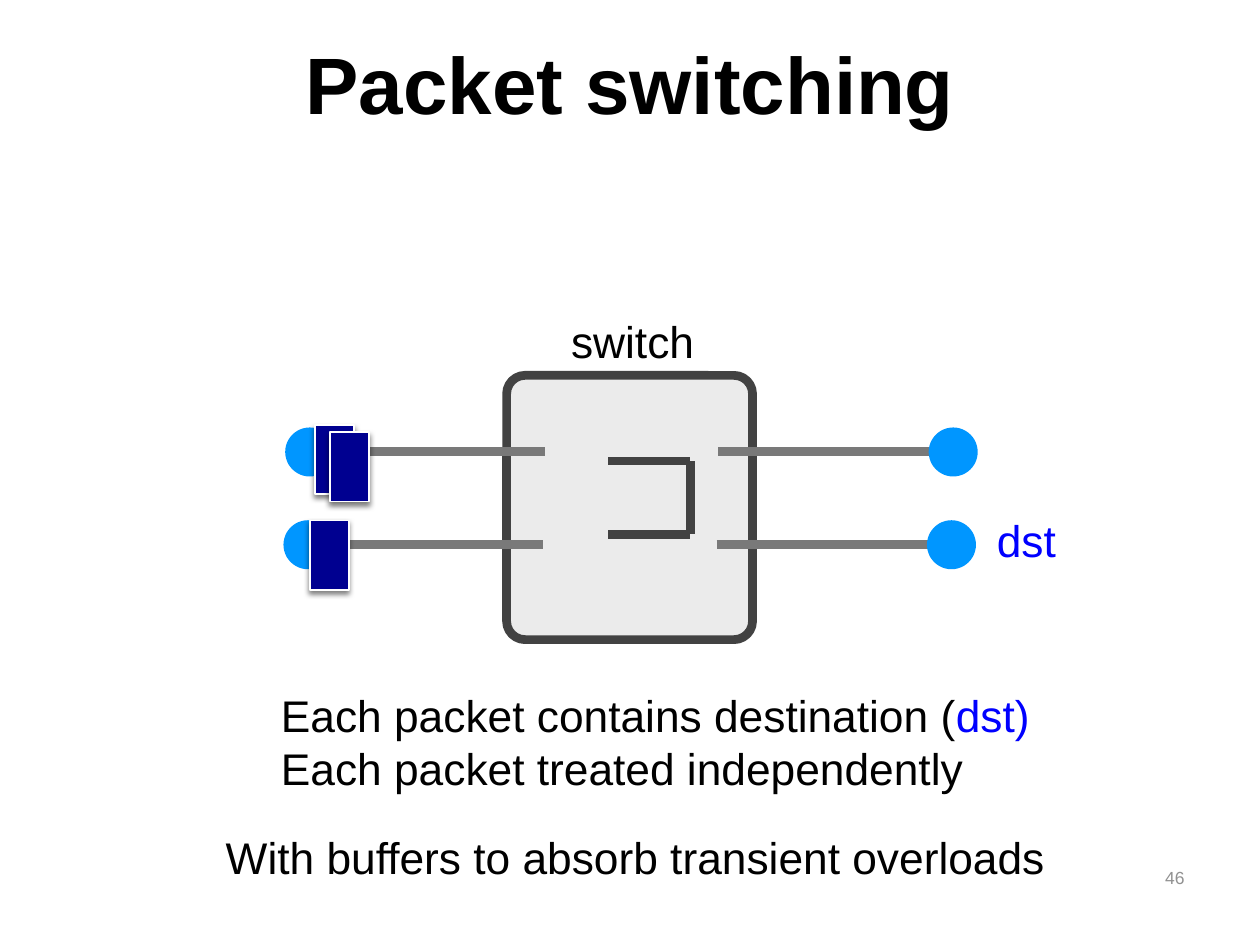
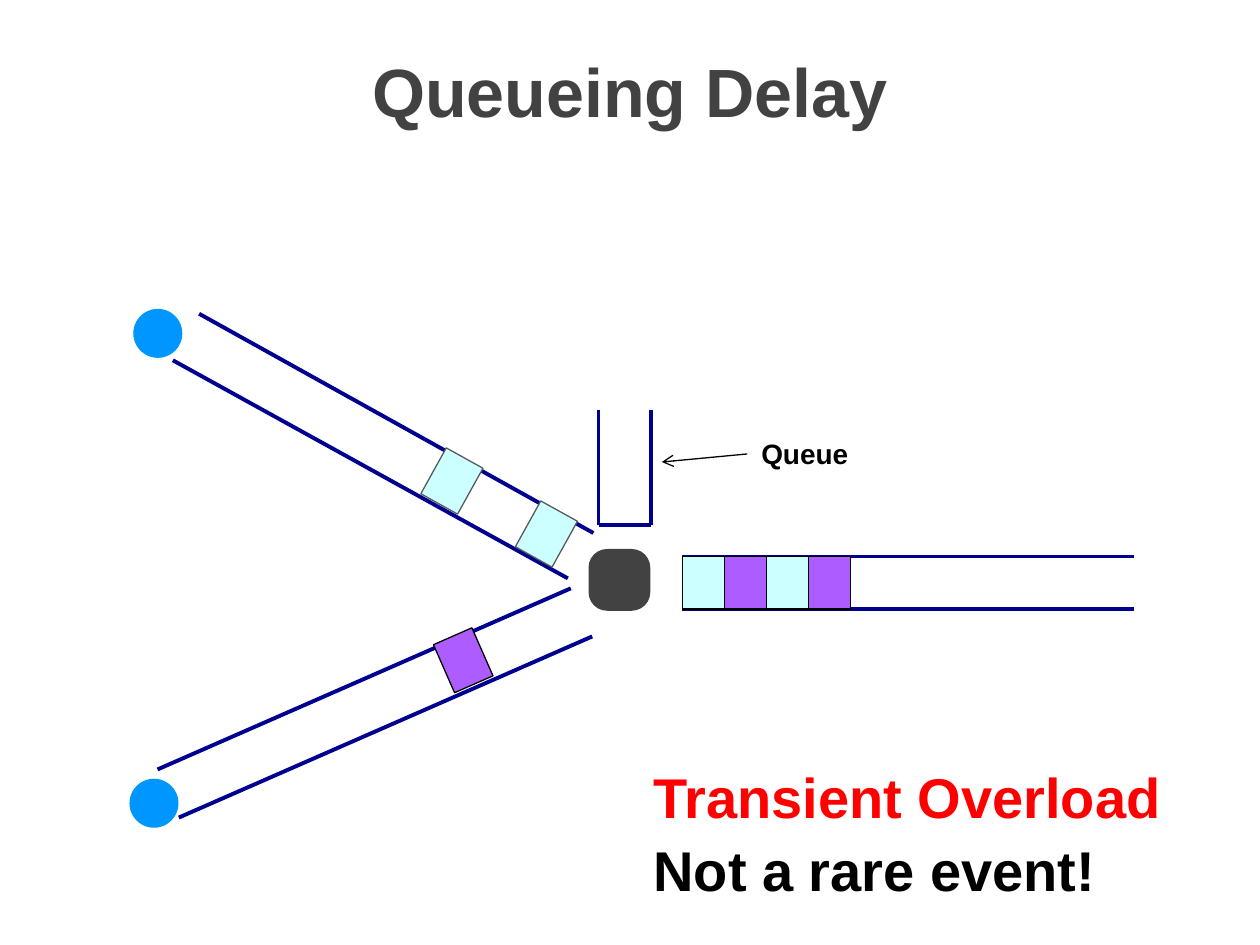
from lxml.etree import SubElement
from pptx import Presentation
from pptx.dml.color import RGBColor
from pptx.enum.shapes import MSO_CONNECTOR, MSO_SHAPE
from pptx.enum.text import MSO_ANCHOR, MSO_AUTO_SIZE, PP_ALIGN
from pptx.oxml.ns import qn
from pptx.util import Pt

COLORS = {
    "ink": "000000", "paper": "FFFFFF", "dark": "424242", "gray": "919191",
    "link": "797979", "switch": "EBEBEB", "host": "0096FF", "navy": "000090",
    "blue": "0000FF", "red": "FF0000", "cyan": "CCFFFF", "purple": "AD5CFF",
    "edge": "595959",
}
FONT = "Arial"
HOST_SIZE = 28

# Slide 1: positions in points
SWITCH_BOX = (289.5, 214.5, 140.5, 151)
LINK_ROWS = [(258, 180), (311, 179)]          # y, left end of the row
LINK_LENGTH, OUTPUT_OFFSET = 131.5, 230.5
INPUT_HOST_OFFSET, OUTPUT_HOST_OFFSET = -3, 364.7
BUFFER_LEFT, BUFFER_RIGHT, BUFFER_TOP, BUFFER_BOTTOM = 347.6, 394.5, 263.5, 305.3
PACKETS = [(180, 242.7), (188.5, 247), (177, 297.5)]
PACKET_SIZE = (22.3, 39.6)
SWITCHING_TEXTS = [                           # box, paragraphs of (text, color) runs
    ((126, 471.6, 490, 36), [[("With buffers to absorb transient overloads", "ink")]]),
    ((323.3, 176.4, 90, 36.7), [[("switch", "ink")]]),
    ((566.6, 290.2, 54, 36.7), [[("dst", "blue")]]),
    ((157.5, 390.2, 450, 67), [
        [("Each packet contains destination (", "ink"), ("dst)", "blue")],
        [("Each packet treated independently", "ink")],
    ]),
]

# Slide 2: positions in points
CELL_WIDTH, CELL_HEIGHT = 24, 30
INPUT_LANES = [
    {"walls": [(113.8, 179.3, 339.1, 304.6), (98.8, 205.9, 324.5, 330.5)],
     "cells": [(300.2, 290.2), (246.2, 259.9)],
     "angle": 29, "color": "cyan", "edge": "edge", "host": (90.2, 190.5)},
    {"walls": [(90, 439.7, 326.2, 336.2), (102.2, 467.2, 338.4, 363.7)],
     "cells": [(252.7, 362.3)],
     "angle": -23.7, "color": "purple", "edge": "ink", "host": (88, 459)},
]
QUEUE_WALLS = [(342, 234, 342, 300), (372, 234, 372, 300), (342, 300, 372, 300)]
QUEUE_ARROW = (427, 259.4, 378.2, 264)
OUTPUT_LEFT, OUTPUT_TOP, OUTPUT_RIGHT = 390, 318, 648
OUTPUT_CELLS = ["cyan", "purple", "cyan", "purple"]
ROUTER_BOX = (336.3, 313.7, 35.3, 35.3)
QUEUE_LABEL_BOX = (427, 246.2, 64.8, 26.6)
REMARKS = [("Transient Overload", "red", 432), ("Not a rare event!", "ink", 474)]

DIAGRAM_FRAME = {
    "word_wrap": True, "auto_size": MSO_AUTO_SIZE.NONE,
    "vertical_anchor": MSO_ANCHOR.MIDDLE, "margin_left": Pt(3),
    "margin_right": Pt(3), "margin_top": Pt(3), "margin_bottom": Pt(3),
}
LABEL_FRAME = {"word_wrap": False, "auto_size": MSO_AUTO_SIZE.SHAPE_TO_FIT_TEXT}
REMARK_FRAME = {"word_wrap": True, "auto_size": MSO_AUTO_SIZE.SHAPE_TO_FIT_TEXT}
NUMBER_FRAME = {"word_wrap": True}
TITLE_FRAME = {
    "word_wrap": True, "auto_size": MSO_AUTO_SIZE.NONE,
    "vertical_anchor": MSO_ANCHOR.BOTTOM, "margin_bottom": Pt(3),
}


def rgb(color):
    return RGBColor.from_string(COLORS[color])


def points(values):
    return [Pt(value) for value in values]


def apply(target, values):
    for attribute, value in values.items():
        setattr(target, attribute, value)


def write(frame, paragraphs, size, frame_format, align=PP_ALIGN.LEFT, bold=False):
    """Fill a text frame with paragraphs, each a list of (text, color) runs."""
    apply(frame, frame_format)
    for index, runs in enumerate(paragraphs):
        paragraph = frame.add_paragraph() if index else frame.paragraphs[0]
        paragraph.alignment = align
        for text, color in runs:
            run = paragraph.add_run()
            run.text = text
            apply(run.font, {"name": FONT, "size": Pt(size), "bold": bold})
            run.font.color.rgb = rgb(color)


def add_text(slide, box, *args, **kwargs):
    write(slide.shapes.add_textbox(*points(box)).text_frame, *args, **kwargs)


def add_titled_slide(deck, title, size, color):
    slide = deck.slides.add_slide(deck.slide_layouts[5])
    heading = slide.shapes.title
    apply(heading, dict(zip(("left", "top", "width", "height"), points((0, 9.4, 720, 68.4)))))
    write(heading.text_frame, [[(title, color)]], size, TITLE_FRAME, PP_ALIGN.CENTER, True)
    return slide


def add_figure(slide, preset, box, fill, line=None, weight=0.75, angle=0, corner=None):
    figure = slide.shapes.add_shape(preset, *points(box))
    figure.shadow.inherit = False
    figure.rotation = angle
    figure.fill.solid()
    figure.fill.fore_color.rgb = rgb(fill)
    if line:
        figure.line.color.rgb = rgb(line)
        figure.line.width = Pt(weight)
    else:
        figure.line.fill.background()
    if corner is not None:
        figure.adjustments[0] = corner
    return figure


def add_line(slide, ends, color="navy", weight=2.25, arrow=False):
    line = slide.shapes.add_connector(MSO_CONNECTOR.STRAIGHT, *points(ends))
    line.line.color.rgb = rgb(color)
    line.line.width = Pt(weight)
    if arrow:
        SubElement(line.line._get_or_add_ln(), qn("a:tailEnd"), type="arrow")
    SubElement(line._element.spPr, qn("a:effectLst"))


def add_host(slide, x, y):
    box = (x - HOST_SIZE / 2, y - HOST_SIZE / 2, HOST_SIZE, HOST_SIZE)
    add_figure(slide, MSO_SHAPE.OVAL, box, "host")


def add_cell(slide, position, color, edge="ink", angle=0):
    box = (*position, CELL_WIDTH, CELL_HEIGHT)
    add_figure(slide, MSO_SHAPE.RECTANGLE, box, color, edge, angle=angle)


def add_packet(slide, position):
    packet = add_figure(slide, MSO_SHAPE.RECTANGLE, (*position, *PACKET_SIZE),
                        "navy", "paper", 1)
    effects = packet._element.spPr.find(qn("a:effectLst"))
    shadow = SubElement(effects, qn("a:outerShdw"), blurRad=str(Pt(3)), dist=str(Pt(2)),
                        dir="5400000", algn="ctr", rotWithShape="0")
    tint = SubElement(shadow, qn("a:srgbClr"), val=COLORS["ink"])
    SubElement(tint, qn("a:alpha"), val="50000")


def build_packet_switching(deck):
    slide = add_titled_slide(deck, "Packet switching", 45.7, "ink")
    add_figure(slide, MSO_SHAPE.ROUNDED_RECTANGLE, SWITCH_BOX, "switch", "dark", 5,
               corner=0.075)
    add_text(slide, (516.2, 491.8, 167.8, 36), [[("46", "gray")]], 10, NUMBER_FRAME,
             PP_ALIGN.RIGHT)
    for y, left in LINK_ROWS:
        for start, host in ((left, left + INPUT_HOST_OFFSET),
                            (left + OUTPUT_OFFSET, left + OUTPUT_HOST_OFFSET)):
            add_line(slide, (start, y, start + LINK_LENGTH, y), "link", 5)
            add_host(slide, host, y + 0.3)
    add_line(slide, (BUFFER_RIGHT, BUFFER_BOTTOM, BUFFER_RIGHT, BUFFER_TOP), "dark", 5)
    for y in (BUFFER_TOP, BUFFER_BOTTOM):
        add_line(slide, (BUFFER_LEFT, y, BUFFER_RIGHT, y), "dark", 5)
    for position in PACKETS:
        add_packet(slide, position)
    for box, paragraphs in SWITCHING_TEXTS:
        add_text(slide, box, paragraphs, 25.3, DIAGRAM_FRAME)


def build_queueing_delay(deck):
    slide = add_titled_slide(deck, "Queueing Delay", 39, "dark")
    for lane in INPUT_LANES:
        for wall in lane["walls"]:
            add_line(slide, wall)
        for position in lane["cells"]:
            add_cell(slide, position, lane["color"], lane["edge"], lane["angle"])
        add_host(slide, *lane["host"])
    for wall in QUEUE_WALLS:
        add_line(slide, wall)
    add_text(slide, QUEUE_LABEL_BOX, [[("Queue", "ink")]], 16, LABEL_FRAME,
             PP_ALIGN.RIGHT, True)
    add_line(slide, QUEUE_ARROW, "ink", 0.75, arrow=True)
    for y in (OUTPUT_TOP, OUTPUT_TOP + CELL_HEIGHT):
        add_line(slide, (OUTPUT_LEFT, y, OUTPUT_RIGHT, y))
    for index, color in enumerate(OUTPUT_CELLS):
        add_cell(slide, (OUTPUT_LEFT + index * CELL_WIDTH, OUTPUT_TOP), color)
    add_figure(slide, MSO_SHAPE.ROUNDED_RECTANGLE, ROUTER_BOX, "dark", corner=0.3)
    for text, color, top in REMARKS:
        add_text(slide, (366.3, top, 336, 46), [[(text, color)]], 32, REMARK_FRAME, bold=True)


def main():
    deck = Presentation()
    deck.slide_width, deck.slide_height = Pt(720), Pt(540)
    build_packet_switching(deck)
    build_queueing_delay(deck)
    deck.save("out.pptx")


if __name__ == "__main__":
    main()
